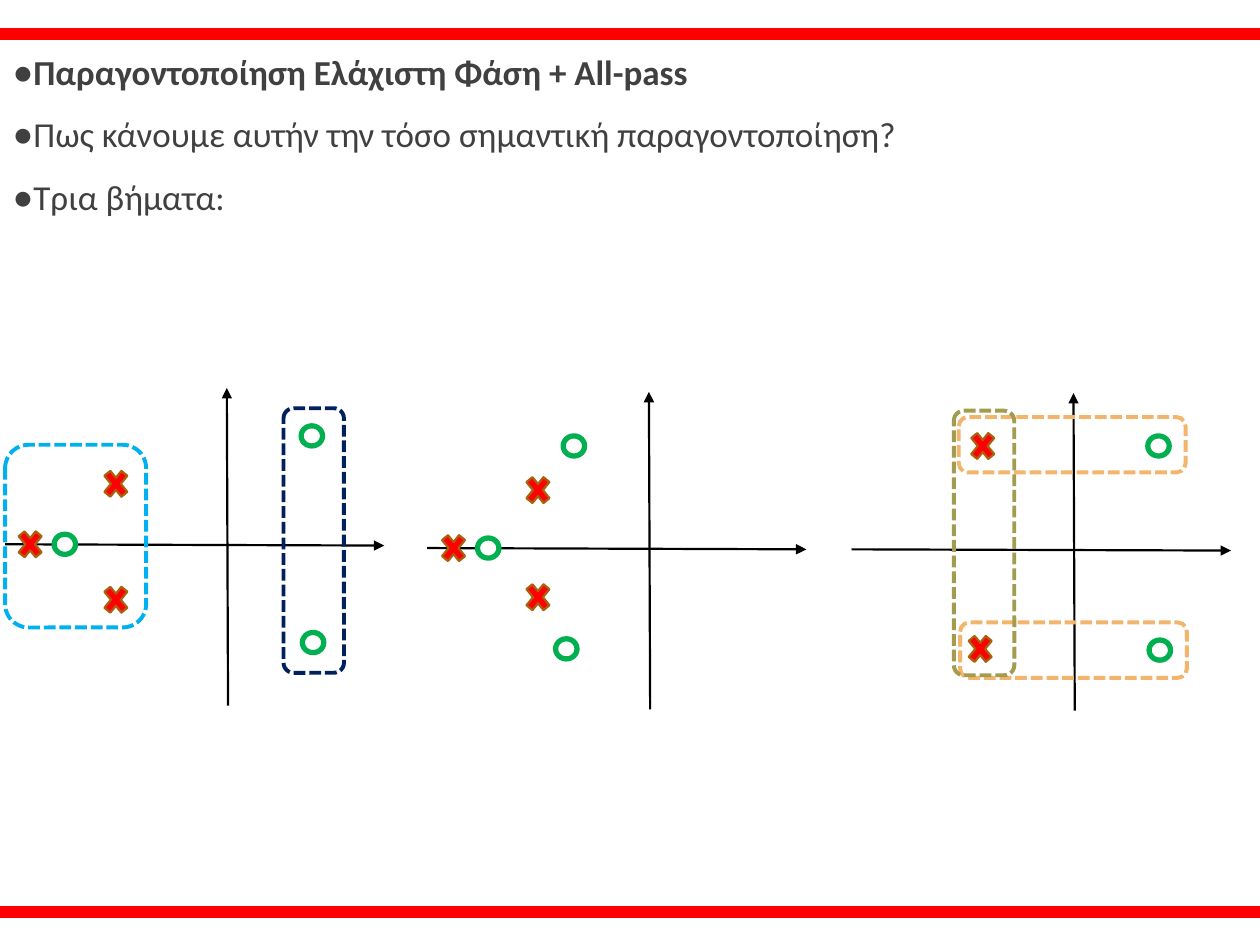
from lxml import etree
from pptx import Presentation
from pptx.dml.color import RGBColor
from pptx.enum.dml import MSO_LINE
from pptx.enum.shapes import MSO_CONNECTOR, MSO_SHAPE
from pptx.oxml.ns import qn
from pptx.util import Inches, Pt

STRAIGHT = MSO_CONNECTOR.STRAIGHT
RECTANGLE = MSO_SHAPE.RECTANGLE
ROUNDED = MSO_SHAPE.ROUNDED_RECTANGLE
CROSS = MSO_SHAPE.MATH_MULTIPLY
CIRCLE = MSO_SHAPE.OVAL
DASH = MSO_LINE.SQUARE_DOT

COLORS = {
    "text": "404040", "axis": "000000", "red": "FF0000", "pole_edge": "A9610D",
    "zero": "00B050", "white": "FFFFFF", "cyan": "00B0F0", "navy": "002060",
    "orange": "F3B56C", "olive": "A39B4E",
}

POINTS = [
    ("Παραγοντοποίηση Ελάχιστη Φάση + All-pass", True),
    ("Πως κάνουμε αυτήν την τόσο σημαντική παραγοντοποίηση?", False),
    ("Τρια βήματα:", False),
]

PLANES = [
    {"origin": (1.8, 4.32),
     "poles": [(0.79, 3.68), (0.79, 4.6), (0.11, 4.16)],
     "zeros": [(2.39, 3.38), (2.4, 5.02), (0.43, 4.24)]},
    {"origin": (5.15, 4.35),
     "poles": [(4.14, 3.73), (4.14, 4.58), (3.47, 4.19)],
     "zeros": [(3.79, 4.27), (4.41, 5.07), (4.47, 3.46)]},
    {"origin": (8.52, 4.36),
     "poles": [(7.67, 3.38), (7.65, 4.99)],
     "zeros": [(9.11, 3.46), (9.12, 5.08)]},
]

GROUPS = [
    (0.04, 3.53, 1.12, 1.45, "cyan"),
    (2.25, 3.24, 0.48, 2.1, "navy"),
    (7.61, 3.31, 1.8, 0.44, "orange"),
    (7.62, 4.94, 1.8, 0.44, "orange"),
    (7.57, 3.26, 0.48, 2.1, "olive"),
]


def color(name):
    return RGBColor.from_string(COLORS[name])


def write(paragraph, text, *, size=20, bold=False, tint="text", font="Calibri"):
    run = paragraph.add_run()
    run.text = text
    run.font.name = font
    run.font.size = Pt(size)
    run.font.bold = bold
    run.font.color.rgb = color(tint)


class SlideBuilder:
    def __init__(self, slide):
        self.slide = slide
        self.axis_width = 1.25
        self.indent = Inches(0.16)

    def bullets(self, left, top, width, height, points):
        box = self.slide.shapes.add_textbox(
            Inches(left), Inches(top), Inches(width), Inches(height))
        frame = box.text_frame
        frame.word_wrap = True
        frame.margin_left = frame.margin_right = 0
        for index, (text, bold) in enumerate(points):
            paragraph = frame.paragraphs[0] if index == 0 else frame.add_paragraph()
            paragraph.line_spacing = 0.9
            paragraph.space_before = Pt(12 if index else 0)
            paragraph.space_after = Pt(2)
            properties = paragraph._p.get_or_add_pPr()
            properties.set("marL", str(self.indent))
            properties.set("indent", str(-self.indent))
            etree.SubElement(properties, qn("a:buSzPct"), val="120000")
            etree.SubElement(properties, qn("a:buFont"), typeface="Calibri")
            etree.SubElement(properties, qn("a:buChar"), char="•")
            write(paragraph, text, bold=bold)

    def shape(self, kind, left, top, width, height, *, line, fill=None,
              weight=1.25, dash=None):
        shape = self.slide.shapes.add_shape(
            kind, Inches(left), Inches(top), Inches(width), Inches(height))
        shape.shadow.inherit = False
        if fill:
            shape.fill.solid()
            shape.fill.fore_color.rgb = color(fill)
        else:
            shape.fill.background()
        shape.line.color.rgb = color(line)
        shape.line.width = Pt(weight)
        if dash:
            shape.line.dash_style = dash

    def arrow(self, x1, y1, x2, y2):
        arrow = self.slide.shapes.add_connector(
            STRAIGHT, Inches(x1), Inches(y1), Inches(x2), Inches(y2))
        arrow.line.color.rgb = color("axis")
        arrow.line.width = Pt(self.axis_width)
        etree.SubElement(arrow.line._get_or_add_ln(), qn("a:tailEnd"), type="triangle")
        etree.SubElement(arrow._element.spPr, qn("a:effectLst"))

    def plane(self, origin, poles, zeros):
        x, y = origin
        self.arrow(x - 1.76, y, x + 1.25, y + 0.01)
        self.arrow(x + 0.01, y + 1.28, x, y - 1.24)
        for left, top in poles:
            self.shape(CROSS, left, top, 0.26, 0.32, fill="red", line="pole_edge")
        for left, top in zeros:
            self.shape(CIRCLE, left, top, 0.17, 0.16, fill="white", line="zero", weight=3)

    def group_frame(self, left, top, width, height, tint):
        self.shape(ROUNDED, left, top, width, height, line=tint, weight=2.25, dash=DASH)

    def band(self, top):
        self.shape(RECTANGLE, 0, top, 10, 0.08, fill="red", line="red")


def main():
    deck = Presentation()
    deck.slide_width = Inches(10)
    deck.slide_height = Inches(7.5)
    builder = SlideBuilder(deck.slides.add_slide(deck.slide_layouts[6]))
    builder.bullets(0.1, 0.39, 9.8, 6.82, POINTS)
    for plane in PLANES:
        builder.plane(**plane)
    for group in GROUPS:
        builder.group_frame(*group)
    for top in (0.23, 7.2):
        builder.band(top)
    deck.save("out.pptx")


if __name__ == "__main__":
    main()
